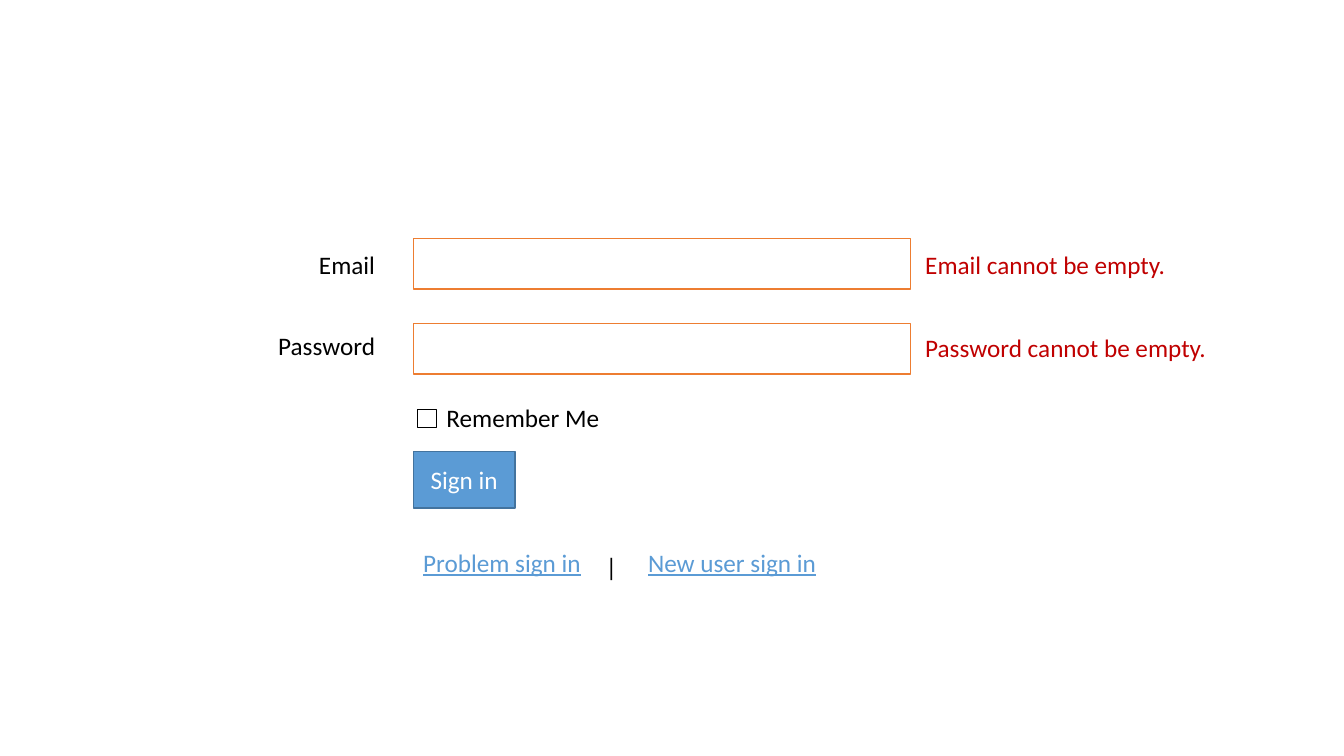
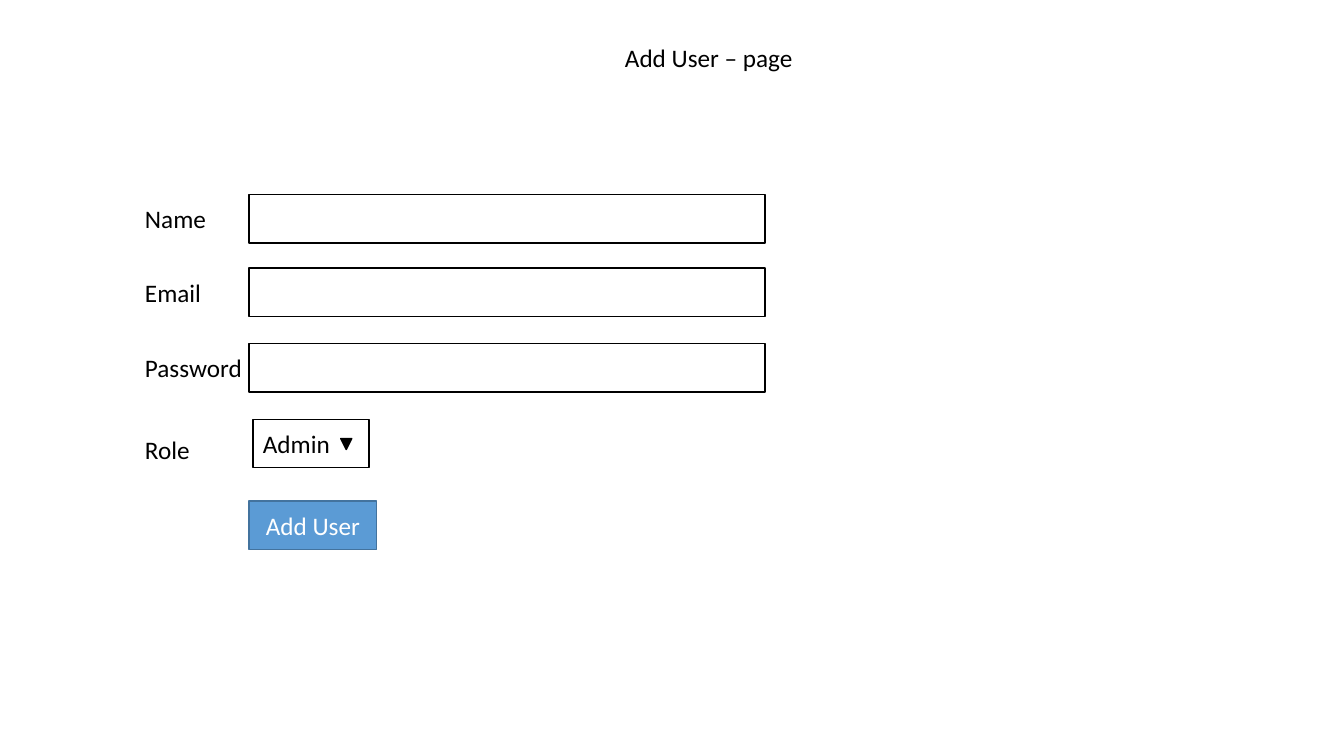
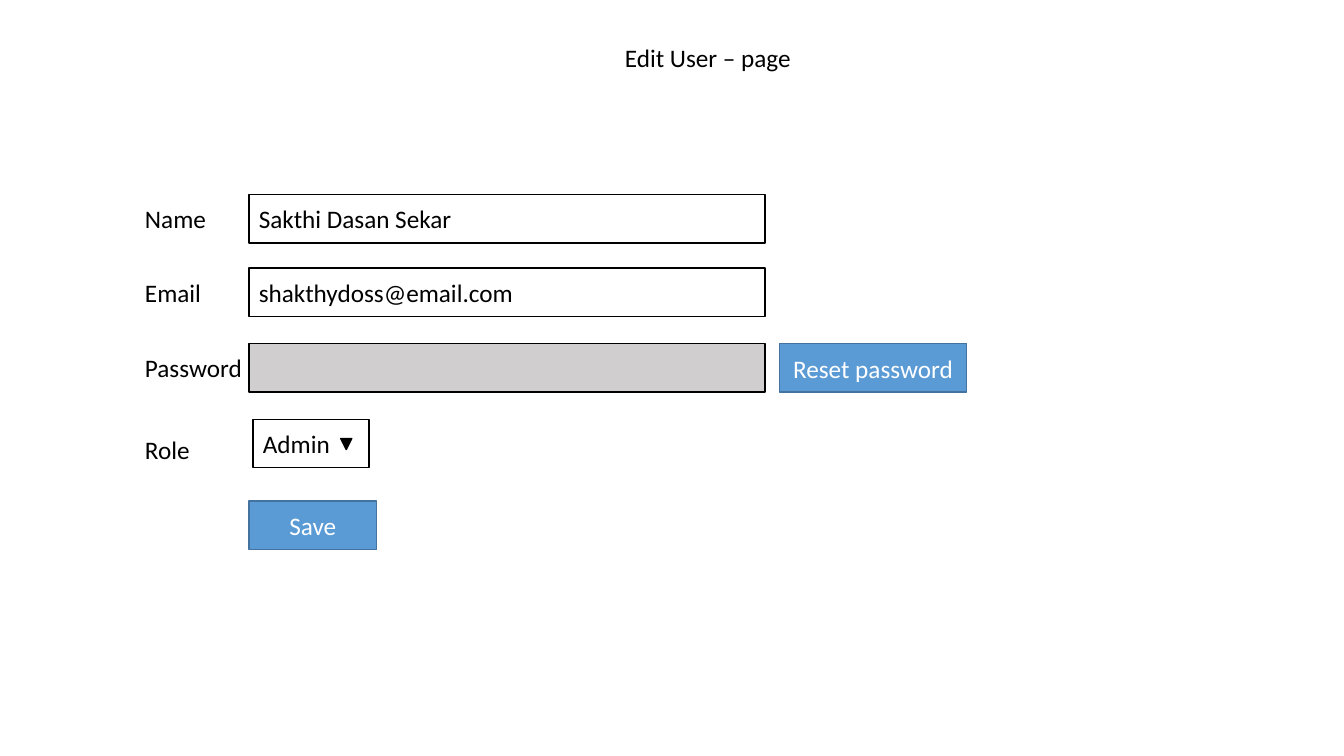
from pptx import Presentation
from pptx.dml.color import RGBColor
from pptx.enum.shapes import MSO_SHAPE
from pptx.enum.text import MSO_ANCHOR, MSO_AUTO_SIZE, PP_ALIGN
from pptx.util import Pt

RECTANGLE, TRIANGLE = MSO_SHAPE.RECTANGLE, MSO_SHAPE.ISOSCELES_TRIANGLE
LEFT, CENTER, RIGHT = PP_ALIGN.LEFT, PP_ALIGN.CENTER, PP_ALIGN.RIGHT
TOP, MIDDLE = MSO_ANCHOR.TOP, MSO_ANCHOR.MIDDLE
TITLE_ONLY, BLANK = 5, 6

# Shared style
FONT, TEXT_SIZE, TEXT_HEIGHT = "Calibri", 18, 29
COLORS = {
    "black": "000000", "white": "FFFFFF", "disabled": "D0CECE",
    "button": "5B9BD5", "button_line": "43739E",
    "alert_line": "ED7D31", "error": "C00000",
}

# Sign-in content: label, label top, field top, error text, error top
SIGN_IN_FIELDS = [
    ("Email", 174.2, 170.6, "Email cannot be empty.", 174.2),
    ("Password", 232.6, 231.1, "Password cannot be empty.", 234),
]
# Text, left, top, width, color, underlined
SIGN_IN_LINKS = [
    ("Problem sign in", 295.2, 387.4, 134, "button", True),
    ("New user sign in", 455.8, 387.4, 142, "button", True),
    ("|", 425.5, 390.2, 23, "black", False),
]
SIGN_IN_LEFT = 295.2

# User form content: each field has a value and a fill
USER_PAGES = [
    {"title": "Add User – page", "action": "Add User", "extra": None,
     "fields": [("Name", "", "white"), ("Email", "", "white"),
                ("Password", "", "white")]},
    {"title": "Edit User – page", "action": "Save", "extra": "Reset password",
     "fields": [("Name", "Sakthi Dasan Sekar", "white"),
                ("Email", "shakthydoss@email.com", "white"),
                ("Password", "", "disabled")]},
]
LABEL_LEFT, LABEL_WIDTH, LABEL_DROP = 96.5, 86, 2.8
FIELD_LEFT, FIELD_WIDTH, ROW_HEIGHT = 177.8, 368.6, 34.6
FIELD_TOPS = [139, 191.5, 245.5]
ROLE_TOP, ACTION_TOP = 299.5, 357.8


def color(name):
    return RGBColor.from_string(COLORS[name])


def write(shape, text, ink="black", align=LEFT, anchor=TOP, underline=False):
    frame = shape.text_frame
    frame.text = text
    frame.word_wrap = True
    frame.auto_size = MSO_AUTO_SIZE.NONE
    frame.vertical_anchor = anchor
    paragraph = frame.paragraphs[0]
    paragraph.alignment = align
    for span in paragraph.runs:
        span.font.name = FONT
        span.font.size = Pt(TEXT_SIZE)
        span.font.color.rgb = color(ink)
        if underline:
            span.font.underline = True


def add_label(page, text, left, top, width, **style):
    box = page.shapes.add_textbox(Pt(left), Pt(top), Pt(width), Pt(TEXT_HEIGHT))
    write(box, text, **style)


def add_block(page, left, top, width, height, fill="white", line="black",
              kind=RECTANGLE):
    block = page.shapes.add_shape(kind, Pt(left), Pt(top), Pt(width), Pt(height))
    block.shadow.inherit = False
    block.fill.solid()
    block.fill.fore_color.rgb = color(fill)
    block.line.color.rgb = color(line)
    block.line.width = Pt(1)
    return block


def add_button(page, text, left, top, width, height=ROW_HEIGHT):
    button = add_block(page, left, top, width, height, "button", "button_line")
    write(button, text, "white", CENTER, MIDDLE)


def add_field(page, text, left, top, width, fill="white"):
    field = add_block(page, left, top, width, ROW_HEIGHT, fill)
    if text:
        write(field, text, anchor=MIDDLE)


def build_sign_in(deck):
    page = deck.slides.add_slide(deck.slide_layouts[BLANK])
    for label, label_top, field_top, error, error_top in SIGN_IN_FIELDS:
        add_block(page, SIGN_IN_LEFT, field_top, 355, 36, line="alert_line")
        add_label(page, label, 185, label_top, 90, align=RIGHT)
        add_label(page, error, 653.8, error_top, 225, ink="error")
    add_button(page, "Sign in", SIGN_IN_LEFT, 322.6, 72.7, 40.3)
    add_block(page, 298.1, 292.3, 13.7, 13)
    add_label(page, "Remember Me", 311.8, 283.7, 130)
    for text, left, top, width, ink, underline in SIGN_IN_LINKS:
        add_label(page, text, left, top, width, ink=ink, underline=underline)


def build_user_page(deck, content):
    page = deck.slides.add_slide(deck.slide_layouts[TITLE_ONLY])
    title = page.shapes.title
    title.left, title.top = Pt(439.2), Pt(26.6)
    title.width, title.height = Pt(150), Pt(TEXT_HEIGHT)
    write(title, content["title"])

    # Text fields
    for (label, value, fill), top in zip(content["fields"], FIELD_TOPS):
        add_label(page, label, LABEL_LEFT, top + LABEL_DROP, LABEL_WIDTH)
        add_field(page, value, FIELD_LEFT, top, FIELD_WIDTH, fill)

    # Role list with its arrow
    add_label(page, "Role", LABEL_LEFT, ROLE_TOP + 7.2, LABEL_WIDTH)
    add_field(page, "Admin", 180.7, ROLE_TOP, 82.8)
    arrow = add_block(page, 243.4, 313.2, 7.9, 7.9, "black", kind=TRIANGLE)
    arrow.rotation = 180

    # Buttons
    add_button(page, content["action"], FIELD_LEFT, ACTION_TOP, 91.4)
    if content["extra"]:
        add_button(page, content["extra"], 556.6, FIELD_TOPS[-1], 134)


def main():
    deck = Presentation()
    deck.slide_width, deck.slide_height = Pt(960), Pt(540)
    build_sign_in(deck)
    for content in USER_PAGES:
        build_user_page(deck, content)
    deck.save("out.pptx")


if __name__ == "__main__":
    main()
